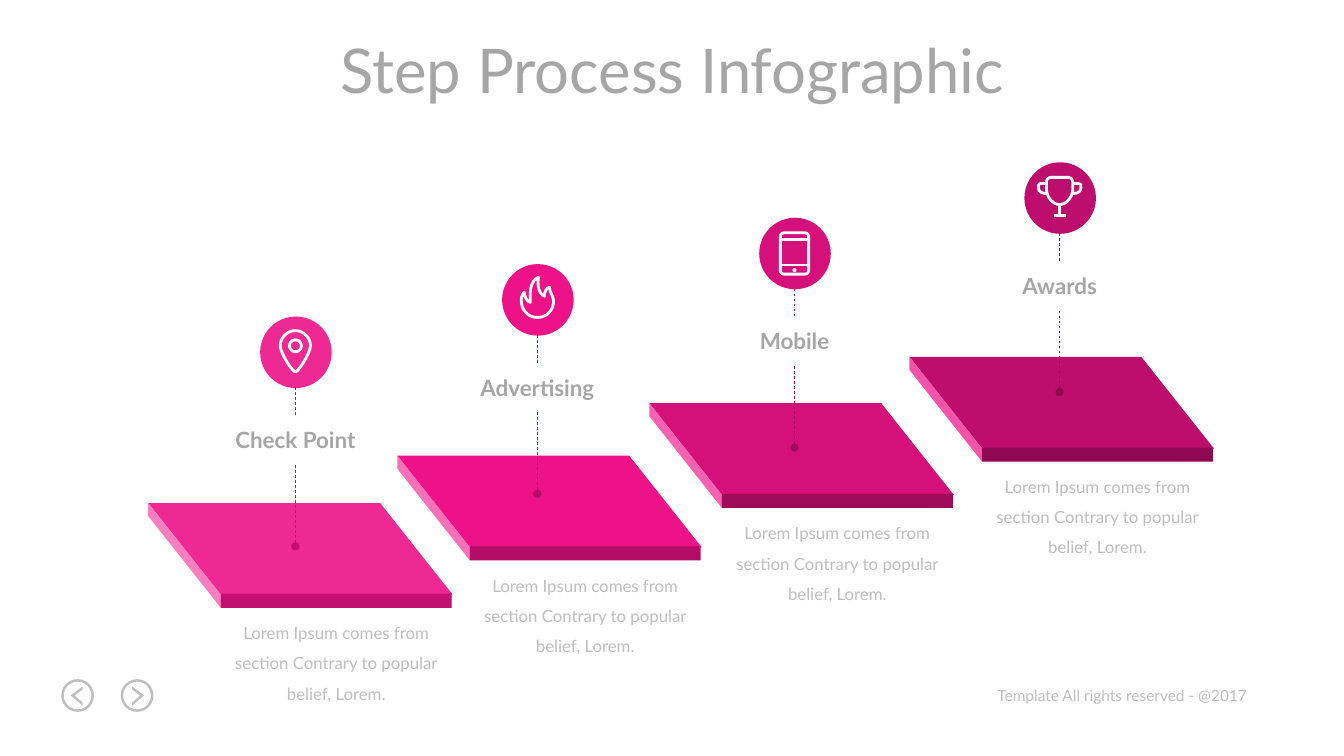
from dataclasses import dataclass

from lxml import etree
from pptx import Presentation
from pptx.dml.color import RGBColor
from pptx.enum.dml import MSO_LINE
from pptx.enum.shapes import MSO_CONNECTOR, MSO_SHAPE
from pptx.enum.text import MSO_AUTO_SIZE, PP_ALIGN
from pptx.oxml.ns import qn
from pptx.shapes.autoshape import Shape
from pptx.slide import Slide
from pptx.text.text import TextFrame
from pptx.util import Pt

PX = 9144
FONT = "Lato"
RECTANGLE, OVAL = MSO_SHAPE.RECTANGLE, MSO_SHAPE.OVAL
STRAIGHT, DASH = MSO_CONNECTOR.STRAIGHT, MSO_LINE.DASH
CENTER, RIGHT = PP_ALIGN.CENTER, PP_ALIGN.RIGHT
GROW = MSO_AUTO_SIZE.SHAPE_TO_FIT_TEXT

WHITE = RGBColor(0xFF, 0xFF, 0xFF)
GRAY = RGBColor(0xA6, 0xA6, 0xA6)
LIGHT_GRAY = RGBColor(0xBF, 0xBF, 0xBF)

CAPTION = "Lorem Ipsum comes from section Contrary to popular belief, Lorem."
DISC_SIZE = 71
ICON_WEIGHT = 2
CURVE_STEPS = 10

Points = list[tuple[float, float]]
Stroke = tuple[tuple[int, ...], ...]


@dataclass(frozen=True)
class Circle:
    x: int
    y: int
    radius: int
    filled: bool


@dataclass(frozen=True)
class Icon:
    strokes: tuple[Stroke, ...]
    circles: tuple[Circle, ...] = ()


@dataclass(frozen=True)
class Step:
    label: str
    platform_left: int
    platform_top: int
    disc_center: int
    disc_top: int
    main: RGBColor
    light: RGBColor
    dark: RGBColor
    icon: Icon


PIN = Icon(
    (((0, -21), (8, -21, 15, -14, 15, -6), (15, 1, 3, 20, 0, 20),
      (-3, 20, -15, 1, -15, -6), (-15, -14, -8, -21, 0, -21)),),
    (Circle(0, -6, 6, False),),
)
FLAME = Icon((
    ((12, -12), (8, -11, 7, -6, 7, -3), (1, -6, 0, -14, 1, -22),
     (-9, -17, -7, -3, -7, 3), (-11, 2, -13, -4, -13, -7),
     (-15, -5, -16, -2, -16, 1), (-16, 11, -9, 18, 0, 18),
     (9, 18, 16, 11, 16, 2), (16, -3, 12, -7, 12, -12)),
))
PHONE = Icon(
    (((-10, -20), (10, -20), (13, -20, 14, -18, 14, -16), (14, 17),
      (14, 20, 12, 21, 10, 21), (-10, 21), (-13, 21, -14, 19, -14, 17),
      (-14, -16), (-14, -19, -12, -20, -10, -20)),
     ((-14, -13), (14, -13)),
     ((-14, 12), (14, 12))),
    (Circle(0, 17, 2, True),),
)
TROPHY = Icon((
    ((-13, -15), (-13, -18, -11, -20, -8, -20), (8, -20),
     (11, -20, 13, -18, 13, -15), (13, -8), (13, -1, 7, 7, 0, 7),
     (-7, 7, -13, -1, -13, -8), (-13, -15)),
    ((-13, -14), (-21, -14, -21, -14, -21, -10), (-21, -6, -18, -4, -13, -4)),
    ((13, -14), (21, -14, 21, -14, 21, -10), (21, -6, 18, -4, 13, -4)),
    ((0, 7), (0, 18)),
    ((-6, 18), (6, 18)),
))

STEPS = (
    Step("Check Point", 147, 499, 293, 314, RGBColor(0xEF, 0x29, 0x94),
         RGBColor(0xF5, 0x7F, 0xBF), RGBColor(0xC3, 0x0F, 0x70), PIN),
    Step("Advertising", 394, 452, 533, 262, RGBColor(0xEE, 0x12, 0x89),
         RGBColor(0xF5, 0x71, 0xB8), RGBColor(0xB3, 0x0D, 0x67), FLAME),
    Step("Mobile", 644, 400, 788, 216, RGBColor(0xD6, 0x10, 0x7B),
         RGBColor(0xF3, 0x63, 0xB1), RGBColor(0xA0, 0x0C, 0x5C), PHONE),
    Step("Awards", 902, 354, 1051, 161, RGBColor(0xBE, 0x0E, 0x6D),
         RGBColor(0xF2, 0x54, 0xAA), RGBColor(0x8F, 0x0A, 0x52), TROPHY),
)


def paint(shape: Shape, color: RGBColor, weight: float = 0) -> None:
    shape.shadow.inherit = False
    if weight:
        shape.fill.background()
        shape.line.color.rgb = color
        shape.line.width = Pt(weight)
    else:
        shape.fill.solid()
        shape.fill.fore_color.rgb = color
        shape.line.fill.background()


def add_preset(slide: Slide, kind: MSO_SHAPE, left: int, top: int, width: int,
               height: int, color: RGBColor, weight: float = 0) -> None:
    shape = slide.shapes.add_shape(kind, left * PX, top * PX, width * PX, height * PX)
    paint(shape, color, weight)


def add_outline(slide: Slide, x: int, y: int, points: Points, close: bool,
                color: RGBColor, weight: float = 0) -> None:
    first, *rest = [((x + dx) * PX, (y + dy) * PX) for dx, dy in points]
    builder = slide.shapes.build_freeform(*first, scale=1.0)
    builder.add_line_segments(rest, close=close)
    paint(builder.convert_to_shape(), color, weight)


def trace(stroke: Stroke) -> Points:
    points: Points = [(stroke[0][0], stroke[0][1])]
    for segment in stroke[1:]:
        if len(segment) == 2:
            points.append((segment[0], segment[1]))
            continue
        x0, y0 = points[-1]
        x1, y1, x2, y2, x3, y3 = segment
        for index in range(1, CURVE_STEPS + 1):
            t = index / CURVE_STEPS
            a, b, c, d = (1 - t) ** 3, 3 * t * (1 - t) ** 2, 3 * t * t * (1 - t), t ** 3
            points.append((a * x0 + b * x1 + c * x2 + d * x3,
                           a * y0 + b * y1 + c * y2 + d * y3))
    return points


def add_icon(slide: Slide, icon: Icon, x: int, y: int) -> None:
    for stroke in icon.strokes:
        closed = stroke[0] == stroke[-1][-2:]
        add_outline(slide, x, y, trace(stroke), closed, WHITE, ICON_WEIGHT)
    for circle in icon.circles:
        size = 2 * circle.radius
        add_preset(slide, OVAL, x + circle.x - circle.radius, y + circle.y - circle.radius,
                   size, size, WHITE, 0 if circle.filled else ICON_WEIGHT)


def add_dashed_line(slide: Slide, x: int, start: int, end: int, color: RGBColor,
                    dot: bool) -> None:
    connector = slide.shapes.add_connector(STRAIGHT, x * PX, start * PX, x * PX, end * PX)
    connector.line.color.rgb = color
    connector.line.width = Pt(0.5)
    connector.line.dash_style = DASH
    if dot:
        etree.SubElement(connector.line._get_or_add_ln(), qn("a:headEnd"), type="oval")
    etree.SubElement(connector._element.spPr, qn("a:effectLst"))


def write(frame: TextFrame, text: str, size: int, color: RGBColor, alignment: PP_ALIGN,
          bold: bool = False, wrap: bool = False, spacing: float = 1.0) -> None:
    frame.word_wrap = wrap
    frame.auto_size = GROW
    paragraph = frame.paragraphs[0]
    paragraph.text = text
    paragraph.alignment = alignment
    paragraph.line_spacing = spacing
    paragraph.font.name = FONT
    paragraph.font.size = Pt(size)
    paragraph.font.bold = bold
    paragraph.font.color.rgb = color


def add_text_frame(slide: Slide, left: int, top: int, width: int, height: int) -> TextFrame:
    return slide.shapes.add_textbox(left * PX, top * PX, width * PX, height * PX).text_frame


def add_step(slide: Slide, step: Step) -> None:
    left, top, x, disc_top = step.platform_left, step.platform_top, step.disc_center, step.disc_top
    add_outline(slide, left, top, [(0, 0), (230, 0), (302, 91), (72, 91)], True, step.main)
    add_outline(slide, left, top, [(0, 0), (0, 13), (72, 104), (72, 91)], True, step.light)
    add_preset(slide, RECTANGLE, left + 72, top + 90, 229, 14, step.dark)
    add_preset(slide, OVAL, x - 35, disc_top, DISC_SIZE, DISC_SIZE, step.main)
    add_dashed_line(slide, x, disc_top + 228, disc_top + 146, step.dark, True)
    add_dashed_line(slide, x, disc_top + 98, disc_top + 70, step.dark, False)
    add_icon(slide, step.icon, x, disc_top + 35)
    write(add_text_frame(slide, x - 71, disc_top + 104, 142, 37),
          step.label, 16, GRAY, CENTER, bold=True)
    write(add_text_frame(slide, left + 72, top + 104, 229, 101),
          CAPTION, 12, LIGHT_GRAY, CENTER, wrap=True, spacing=1.5)


def add_arrow_button(slide: Slide, x: int, y: int, direction: int) -> None:
    add_preset(slide, OVAL, x - 15, y - 15, 30, 30, LIGHT_GRAY, 1.75)
    chevron = [(-5, -6), (3, 0), (-5, 7), (-5, 10), (7, 0), (-5, -9)]
    add_outline(slide, x, y, [(direction * dx, dy) for dx, dy in chevron], True, LIGHT_GRAY)


def main() -> None:
    presentation = Presentation()
    presentation.slide_width, presentation.slide_height = 1333 * PX, 750 * PX
    slide = presentation.slides.add_slide(presentation.slide_layouts[5])
    title = slide.shapes.title
    title.left, title.top, title.width, title.height = 300 * PX, 26 * PX, 734 * PX, 84 * PX
    write(title.text_frame, "Step Process Infographic", 44, GRAY, CENTER)
    write(add_text_frame(slide, 974, 676, 273, 29),
          "Template All rights reserved - @2017", 11, LIGHT_GRAY, RIGHT)
    add_arrow_button(slide, 77, 690, -1)
    add_arrow_button(slide, 136, 690, 1)
    for step in STEPS:
        add_step(slide, step)
    presentation.save("out.pptx")


if __name__ == "__main__":
    main()
